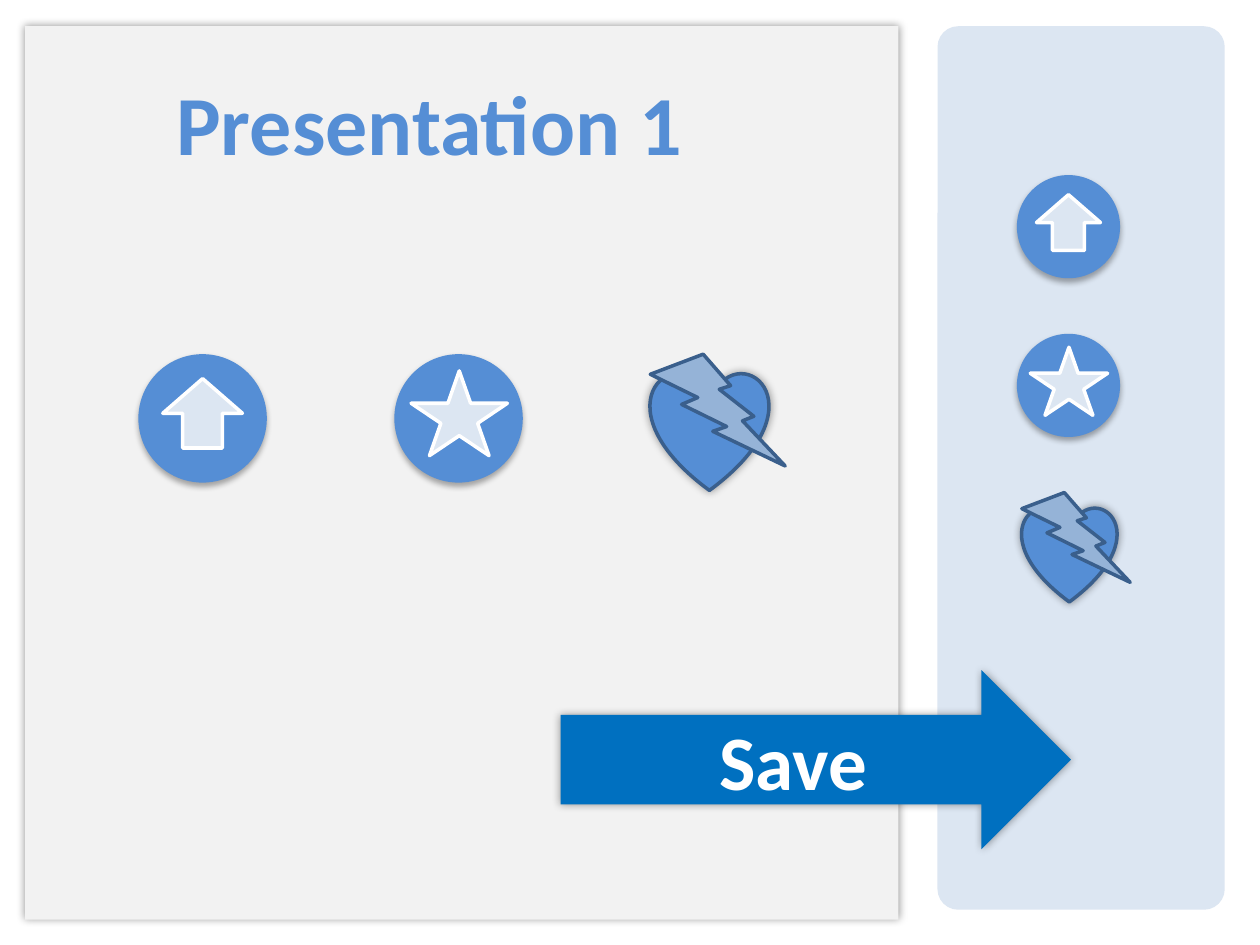
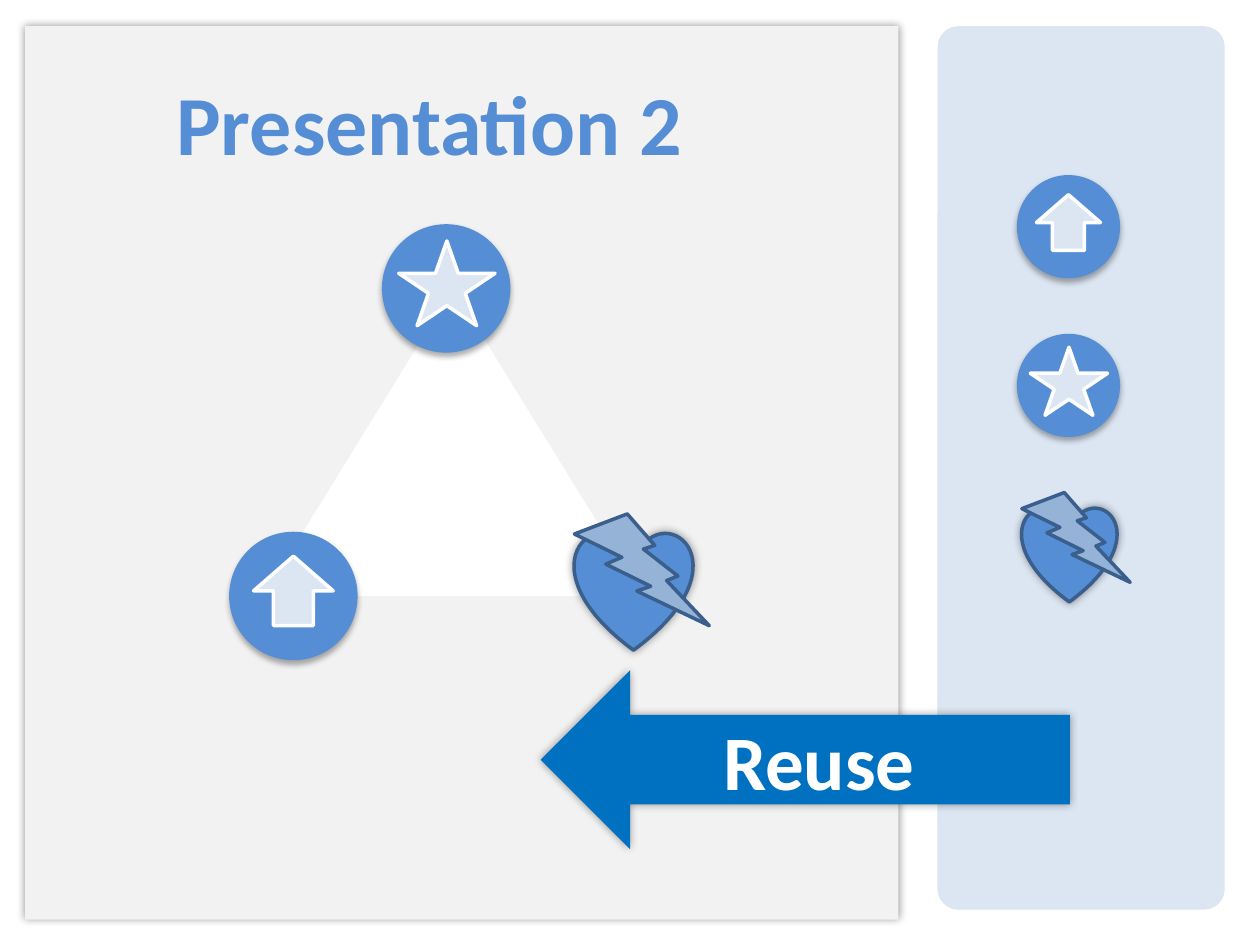
"""Two slides: icons saved from one presentation and reused in another."""
from dataclasses import dataclass
from typing import Any, NamedTuple, Optional

from lxml import etree
from pptx import Presentation
from pptx import util as u
from pptx.dml import color
from pptx.enum import shapes, text
from pptx.oxml import ns

Kind = shapes.MSO_SHAPE
FONT = "Calibri"
BLUE, PALE, GREY, WHITE = "558ED5", "DCE6F2", "F2F2F2", "FFFFFF"
ARROW_BLUE, BOLT_BLUE, OUTLINE = "0070C0", "95B3D7", "3A5F8C"
LARGE, SMALL = 2.59, 2.08  # icon sizes in cm


class Box(NamedTuple):
    """A place on the slide, in cm."""
    left: float
    top: float
    width: float
    height: float


class Shadow(NamedTuple):
    """An outer shadow: opacity in percent, lengths in points, angle in degrees."""
    opacity: int
    blur: float
    distance: float
    angle: int


GLOW = Shadow(40, 5, 0, 0)
DROP = Shadow(32, 3.5, 2.2, 90)


@dataclass(frozen=True)
class Look:
    """Fill, outline and shadow of a shape."""
    fill: str
    line: Optional[str] = None
    shadow: Optional[Shadow] = None


@dataclass(frozen=True)
class Part:
    """One piece of an icon; its box is a fraction of the icon size."""
    kind: Any
    box: Box
    look: Look


DISC = Part(Kind.FLOWCHART_CONNECTOR, Box(0, 0, 1, 1), Look(BLUE, shadow=DROP))
SYMBOL = Look(PALE, WHITE)
ICONS = {
    "upload": (DISC, Part(Kind.UP_ARROW, Box(0.19, 0.19, 0.62, 0.54), SYMBOL)),
    "star": (DISC, Part(Kind.STAR_5_POINT, Box(0.13, 0.13, 0.75, 0.66), SYMBOL)),
    "heart": (
        Part(Kind.HEART, Box(0, 0.14, 0.92, 0.92), Look(BLUE, OUTLINE, GLOW)),
        Part(Kind.LIGHTNING_BOLT, Box(0, 0, 1.05, 0.87), Look(BOLT_BLUE, OUTLINE)),
    ),
}


@dataclass(frozen=True)
class Scene:
    """What differs from slide to slide."""
    title: str
    action: str
    arrow: Any
    arrow_box: Box
    icon_spots: dict[str, tuple[float, float]]
    triangle: Optional[Box] = None


SCENES = (
    Scene("Presentation 1", "Save", Kind.RIGHT_ARROW, Box(11.3, 13.51, 10.29, 3.61),
          {name: (2.79 + 5.16 * column, 7.14) for column, name in enumerate(ICONS)}),
    Scene("Presentation 2", "Reuse ", Kind.LEFT_ARROW, Box(10.9, 13.51, 10.67, 3.61),
          {"upload": (4.62, 10.72), "star": (7.7, 4.52), "heart": (11.58, 10.36)},
          Box(5.31, 5.82, 7.65, 6.2)),
)
SIDEBAR_SPOTS = {"upload": (20.5, 3.53), "star": (20.5, 6.73), "heart": (20.6, 9.93)}


def rgb(value: str) -> color.RGBColor:
    """Turn a hex string into a colour."""
    return color.RGBColor.from_string(value)


def apply(target: Any, formats: dict[str, Any]) -> None:
    """Set each named attribute of the target."""
    for name, value in formats.items():
        setattr(target, name, value)


def cast_shadow(shape: Any, shadow: Shadow) -> None:
    """Put an outer shadow in the shape's effect list."""
    effects = shape._element.spPr.find(ns.qn("a:effectLst"))
    outer = etree.SubElement(effects, ns.qn("a:outerShdw"), {
        "blurRad": str(u.Pt(shadow.blur)), "dist": str(u.Pt(shadow.distance)),
        "dir": str(shadow.angle * 60000), "algn": "ctr", "rotWithShape": "0"})
    black = etree.SubElement(outer, ns.qn("a:srgbClr"), val="000000")
    etree.SubElement(black, ns.qn("a:alpha"), val=str(shadow.opacity * 1000))


def draw(canvas: Any, kind: Any, box: Box, look: Look) -> Any:
    """Add a preset shape with the given look."""
    shape = canvas.add_shape(kind, *map(u.Cm, box))
    shape.shadow.inherit = False
    shape.fill.solid()
    shape.fill.fore_color.rgb = rgb(look.fill)
    if look.line:
        shape.line.color.rgb = rgb(look.line)
        shape.line.width = u.Pt(2)
    else:
        shape.line.fill.background()
    if look.shadow:
        cast_shadow(shape, look.shadow)
    return shape


def write(shape: Any, words: str, size: int, ink: str, align: Any) -> None:
    """Write one bold paragraph into the shape."""
    paragraph = shape.text_frame.paragraphs[0]
    paragraph.alignment = align
    run = paragraph.add_run()
    run.text = words
    apply(run.font, {"name": FONT, "size": u.Pt(size), "bold": True})
    run.font.color.rgb = rgb(ink)


def draw_icon(slide: Any, name: str, spot: tuple[float, float], size: float) -> None:
    """Draw an icon as a group with its top left corner at the spot."""
    group = slide.shapes.add_group_shape()
    left, top = spot
    for part in ICONS[name]:
        box = Box(left + part.box.left * size, top + part.box.top * size,
                  part.box.width * size, part.box.height * size)
        draw(group.shapes, part.kind, box, part.look)


def draw_icons(slide: Any, spots: dict[str, tuple[float, float]], size: float) -> None:
    """Draw one icon at each spot."""
    for name, spot in spots.items():
        draw_icon(slide, name, spot, size)


def add_sidebar(layout: Any, slide: Any) -> None:
    """Draw the sidebar and hand it over to the shared layout."""
    sidebar = draw(slide.shapes, Kind.ROUNDED_RECTANGLE,
                   Box(18.9, 0.53, 5.79, 17.81), Look(PALE))
    sidebar.adjustments[0] = 0.072
    layout.shapes._spTree.append(sidebar._element)


def place_title(slide: Any, words: str) -> None:
    """Format the title placeholder and bring it in front of the panel."""
    title = slide.shapes.title
    apply(title, dict(zip(Box._fields, map(u.Cm, Box(3.3, 1.32, 11.2, 2.31)))))
    apply(title.text_frame, {"word_wrap": True,
                             "vertical_anchor": text.MSO_ANCHOR.TOP,
                             "auto_size": text.MSO_AUTO_SIZE.SHAPE_TO_FIT_TEXT})
    write(title, words, 48, BLUE, text.PP_ALIGN.LEFT)
    slide.shapes._spTree.append(title._element)


def build_scene(slide: Any, scene: Scene) -> None:
    """Draw the panel, the icons and the action arrow of one slide."""
    draw(slide.shapes, Kind.RECTANGLE, Box(0.51, 0.53, 17.6, 18.01),
         Look(GREY, shadow=GLOW))
    place_title(slide, scene.title)
    if scene.triangle:
        draw(slide.shapes, Kind.ISOSCELES_TRIANGLE, scene.triangle, Look(WHITE))
    draw_icons(slide, SIDEBAR_SPOTS, SMALL)
    draw_icons(slide, scene.icon_spots, LARGE)
    action = draw(slide.shapes, scene.arrow, scene.arrow_box,
                  Look(ARROW_BLUE, shadow=GLOW))
    action.text_frame.vertical_anchor = text.MSO_ANCHOR.MIDDLE
    write(action, scene.action, 44, WHITE, text.PP_ALIGN.CENTER)


def main() -> None:
    """Build and save the slides."""
    deck = Presentation()
    apply(deck, {"slide_width": u.Cm(25.4), "slide_height": u.Cm(19.05)})
    layout = deck.slide_layouts.get_by_name("Title Only")
    slides = [deck.slides.add_slide(layout) for _ in SCENES]
    add_sidebar(layout, slides[0])
    for slide, scene in zip(slides, SCENES):
        build_scene(slide, scene)
    deck.save("out.pptx")


main()
